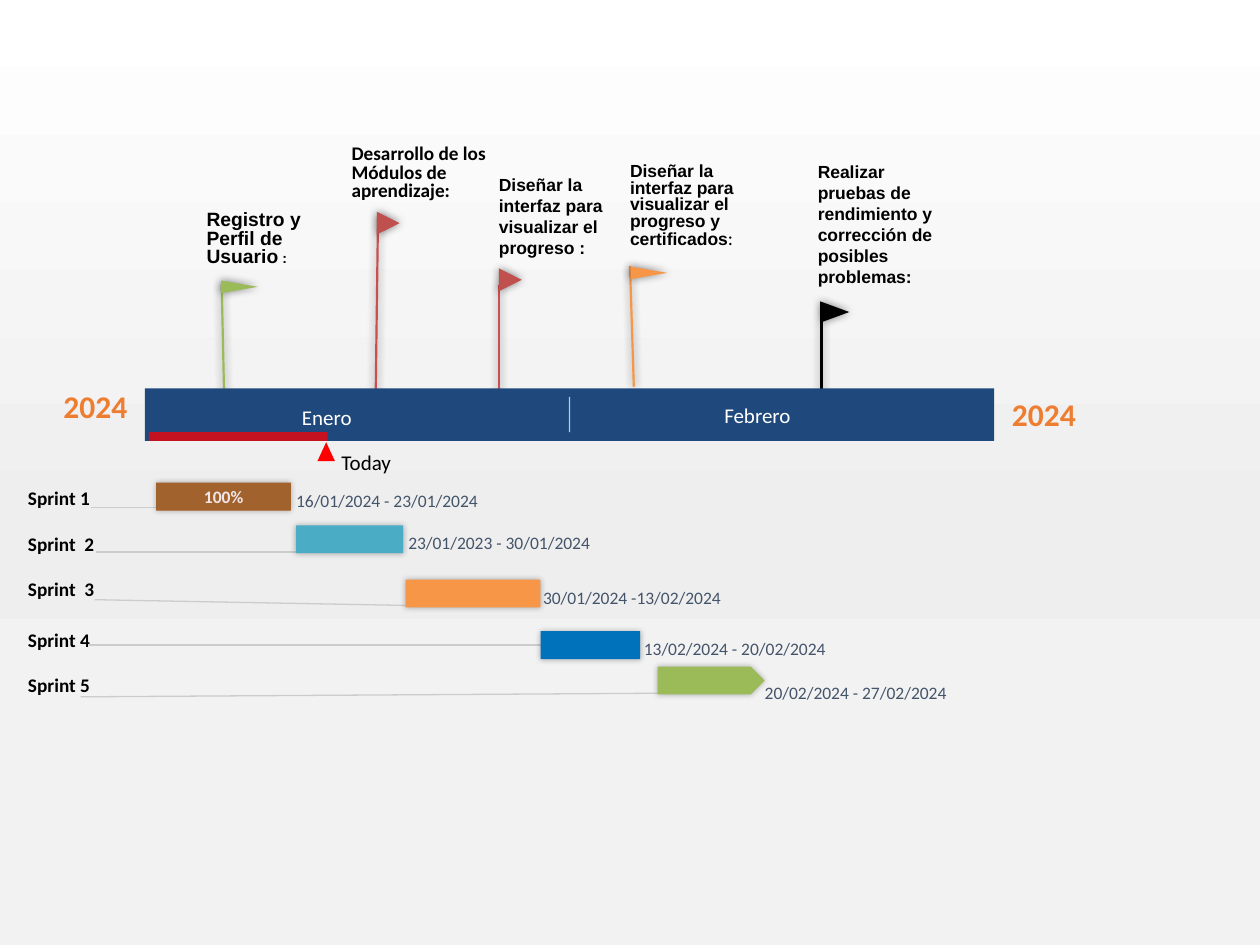
from lxml import etree
from pptx import Presentation, util as u
from pptx.dml.color import RGBColor
from pptx.enum import shapes, text
from pptx.oxml import ns

WHITE = RGBColor(0xFF, 0xFF, 0xFF)
BLACK = RGBColor(0, 0, 0)
NAVY = RGBColor(0x1F, 0x49, 0x7D)
RED = RGBColor(0xFF, 0, 0)
BRICK = RGBColor(0xC0, 0x50, 0x4D)
POLE_RED = RGBColor(0xC8, 0x50, 0x50)
ORANGE = RGBColor(0xF7, 0x96, 0x46)
YEAR = RGBColor(0xED, 0x7D, 0x31)
GREEN = RGBColor(0x9B, 0xBB, 0x59)
TEAL = RGBColor(0x4B, 0xAC, 0xC6)
BLUE = RGBColor(0, 0x72, 0xBC)
SLATE = RGBColor(0x44, 0x54, 0x6A)
GRAY = RGBColor(0xCC, 0xCC, 0xCC)
PINK = RGBColor(0xF1, 0xE6, 0xE6)
SILVER = RGBColor(0xEE, 0xEE, 0xEE)
PALE = RGBColor(0xF2, 0xF2, 0xF2)

BAR_SHADOW = (29, 3.5)
FLAG_SHADOW = (49, 5)
SHAPE = shapes.MSO_SHAPE
TOP, MIDDLE, BOTTOM = (text.MSO_ANCHOR.TOP, text.MSO_ANCHOR.MIDDLE,
                       text.MSO_ANCHOR.BOTTOM)
CENTER = text.PP_ALIGN.CENTER


def sub(parent, tag, **attrs):
    return etree.SubElement(parent, ns.qn(tag), {k: str(v) for k, v in attrs.items()})


def set_alpha(fill_parent, percent):
    """Make the solid fill below the given element partly transparent."""
    color = next(fill_parent.iter(ns.qn("a:srgbClr")))
    sub(color, "a:alpha", val=percent * 1000)


class Timeline:
    base = {"name": "Calibri", "size": 11, "bold": False, "color": BLACK}

    def __init__(self, s):
        self.s = s

    def background(self, stops):
        fill = self.s.background.fill
        fill.gradient()
        fill.gradient_angle = 270
        gs_list = next(self.s.element.iter(ns.qn("a:gsLst")))
        for gs in list(gs_list):
            gs_list.remove(gs)
        for percent, color in stops:
            sub(sub(gs_list, "a:gs", pos=percent * 1000), "a:srgbClr", val=color)

    def effects(self, sp, shadow):
        """Give a soft (opacity, blur) shadow, or none at all."""
        effects = sub(sp._element.spPr, "a:effectLst")
        if shadow:
            opacity, blur = shadow
            outer = sub(effects, "a:outerShdw", blurRad=int(u.Pt(blur)), dist=0, dir=0,
                        algn="ctr", rotWithShape=0)
            sub(sub(outer, "a:srgbClr", val=BLACK), "a:alpha", val=opacity * 1000)

    def shape(self, kind, box, color, shadow=None, alpha=None, rotation=0):
        sp = self.s.shapes.add_shape(kind, *map(u.Pt, box))
        sp.rotation = rotation
        sp.fill.solid()
        sp.fill.fore_color.rgb = color
        if alpha:
            set_alpha(sp._element.spPr, alpha)
        sp.line.fill.background()
        self.effects(sp, shadow)
        return sp

    def line(self, ends, color, width=0.75, shadow=None, alpha=None):
        cx = self.s.shapes.add_connector(shapes.MSO_CONNECTOR.STRAIGHT, *map(u.Pt, ends))
        cx.line.color.rgb = color
        cx.line.width = u.Pt(width)
        if alpha:
            set_alpha(cx._element.spPr, alpha)
        self.effects(cx, shadow)

    def set_text(self, sp, runs, anchor=MIDDLE, align=None, spacing=None, inset=(0, 0),
                 **style):
        """Put (text, overrides) runs, or one plain string, into a shape."""
        tf = sp.text_frame
        dx, dy = map(u.Pt, inset)
        frame = {"word_wrap": True, "vertical_anchor": anchor, "margin_left": dx,
                 "margin_right": dx, "margin_top": dy, "margin_bottom": dy}
        for key, value in frame.items():
            setattr(tf, key, value)
        p = tf.paragraphs[0]
        p.alignment, p.line_spacing = align, spacing
        for words, extra in [(runs, {})] if isinstance(runs, str) else runs:
            r = p.add_run()
            r.text = words
            font = {**self.base, **style, **extra}
            r.font.color.rgb = font.pop("color")
            font["size"] = u.Pt(font["size"])
            for key, value in font.items():
                setattr(r.font, key, value)

    def label(self, box, runs, **options):
        self.set_text(self.s.shapes.add_textbox(*map(u.Pt, box)), runs, **options)

    def flag(self, pole, pole_color, pennant, color):
        self.line(pole, pole_color, 1.25, FLAG_SHADOW)
        self.shape(SHAPE.FLOWCHART_MERGE, pennant, color, FLAG_SHADOW, rotation=270)

    def sprint(self, name, name_top, name_width, leader, bar, color, dates, date_at,
               kind=SHAPE.RECTANGLE):
        left, top, width = bar
        self.line(leader, GRAY)
        self.shape(kind, (left, top, width, 16), color, BAR_SHADOW)
        self.label((16, name_top, name_width, 13.5), name, bold=True)
        self.label((*date_at, 131, 20), dates, size=10, color=SLATE)


FLAGS = [
    ((126.7, 162.7, 128.2, 231), GREEN, (133.2, 153.4, 7.2, 21), GREEN),
    ((216, 123.8, 214.6, 232.6), POLE_RED, (215.3, 121, 13, 13), BRICK),
    ((285.1, 162.7, 285.1, 225.4), POLE_RED, (285.1, 153.4, 13, 13), BRICK),
    ((360, 152, 362.2, 221), ORANGE, (367.2, 145.4, 7.2, 21), ORANGE),
    ((469.4, 184.3, 469.4, 225.4), BLACK, (470.9, 170, 12.2, 16.6), BLACK),
]
ARIAL = {"name": "Arial", "size": 10}
MILESTONES = [
    ((118, 121, 66.2, 31.7), [("Registro y Perfil de Usuario", {}), (" :", {"size": 8})],
     {"name": "Arial", "spacing": 0.8}),
    ((200.9, 83.5, 77, 31.7), "Desarrollo de los Módulos de aprendizaje:",
     {"spacing": 0.8}),
    ((285.1, 99.4, 81.4, 48.2), "Diseñar la interfaz para visualizar el progreso :",
     ARIAL),
    ((360, 93.6, 70.6, 49.7),
     [("Diseñar la interfaz para visualizar el progreso y certificados", ARIAL),
      (":", {"bold": False})], {"spacing": 0.8}),
    ((467.3, 91.4, 66.2, 72.7),
     "Realizar pruebas de rendimiento y corrección de posibles problemas:",
     {**ARIAL, "anchor": BOTTOM}),
]
SPRINTS = [
    ("Sprint 1", 278, 38.2, (52, 290.2, 99.4, 290.2), (89.3, 275.8, 77), ORANGE,
     "16/01/2024 - 23/01/2024", (169.2, 275.8)),
    ("Sprint  2", 303.8, 41, (54.7, 315.4, 182.9, 315.4), (169.2, 300.2, 61.2), TEAL,
     "23/01/2023 - 30/01/2024", (233.3, 300.2)),
    ("Sprint  3", 329.8, 38.2, (54, 342.7, 249.1, 346.3), (231.8, 331.2, 77), ORANGE,
     "30/01/2024 -13/02/2024", (310.3, 331.2)),
    ("Sprint 4", 358.6, 41, (51.1, 368.6, 332.6, 368.6), (308.9, 360.7, 56.9), BLUE,
     "13/02/2024 - 20/02/2024", (367.9, 360.7)),
    ("Sprint 5", 384.5, 44.6, (46.1, 398.2, 398.9, 396), (375.8, 380.9, 61.2), GREEN,
     "20/02/2024 - 27/02/2024", (437, 385.9), SHAPE.PENTAGON),
]


def main():
    prs = Presentation()
    prs.slide_width, prs.slide_height = u.Pt(720), u.Pt(540)
    t = Timeline(prs.slides.add_slide(prs.slide_layouts[6]))
    t.background([(0, WHITE), (57, SILVER), (74, PALE), (100, PALE)])

    for row in SPRINTS:
        t.sprint(*row)
    done = t.shape(SHAPE.RECTANGLE, (89.3, 275.8, 77, 16), BLACK, alpha=34)
    t.set_text(done, "100%", align=CENTER, size=10, bold=True, color=PINK)

    for flag in FLAGS:
        t.flag(*flag)
    for box, runs, options in MILESTONES:
        t.label(box, runs, **{"anchor": TOP, "bold": True, **options})

    t.shape(SHAPE.RECTANGLE, (82.8, 222, 485.3, 30), NAVY)
    for left, top in ((26, 221), (568, 226)):
        t.label((left, top, 57, 21.6), "2024", align=CENTER, inset=(10, 0),
                size=18, bold=True, color=YEAR)
    for left, top, width, month, align in ((137.5, 223.2, 98.6, "Enero", CENTER),
                                           (406.8, 222, 53, "Febrero", None)):
        t.label((left, top, width, 30), month, align=align, inset=(7.2, 3.6),
                size=12, color=WHITE)
    t.line((325.4, 226.8, 325.4, 247), WHITE, alpha=69)

    t.shape(SHAPE.RECTANGLE, (85, 247, 102.2, 5), RED, alpha=74)
    t.shape(SHAPE.ISOSCELES_TRIANGLE, (181.4, 252.7, 10, 10.8), RED)
    t.label((195.1, 257, 38.2, 14.4), "Today", anchor=TOP, size=12)
    prs.save("out.pptx")


if __name__ == "__main__":
    main()
